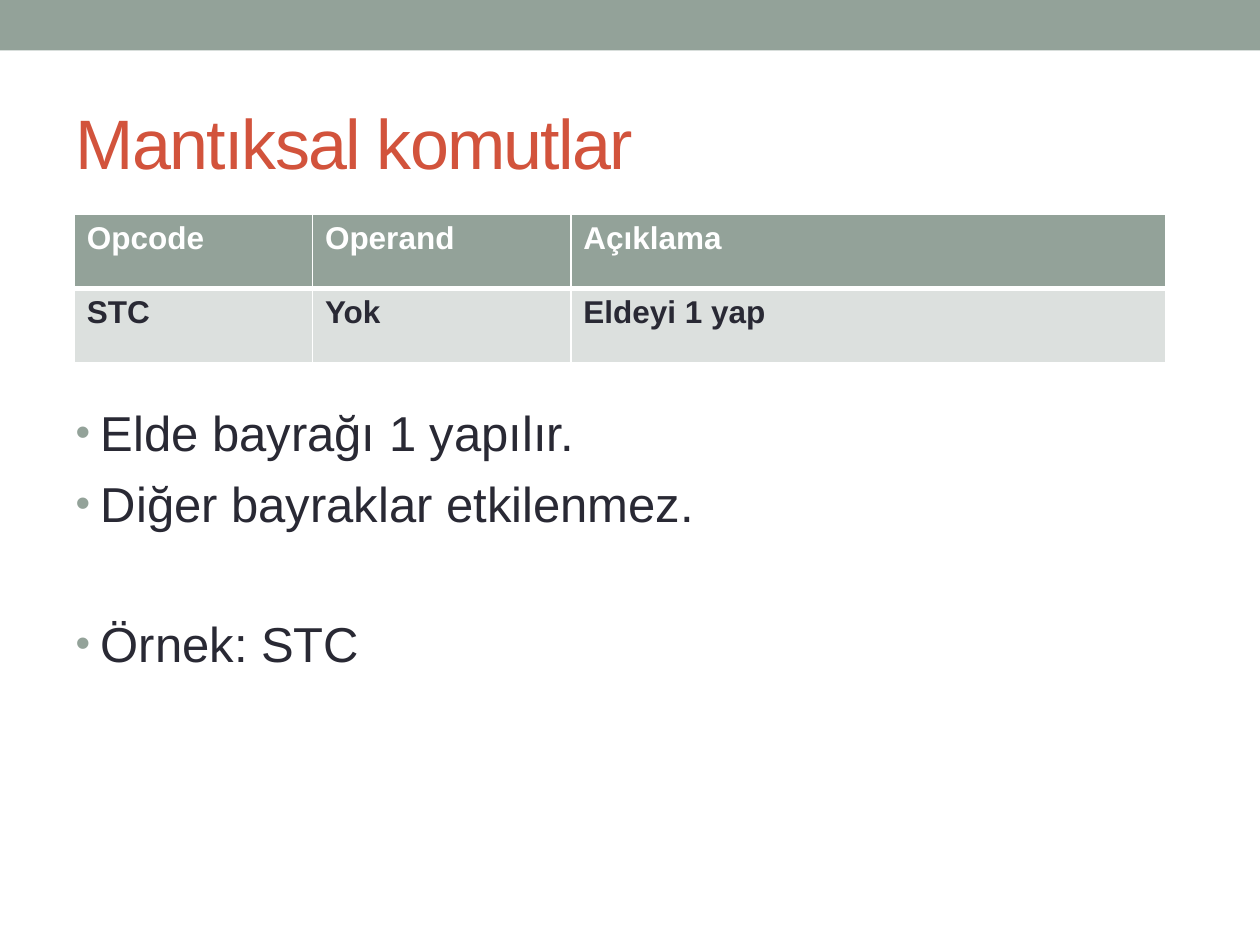
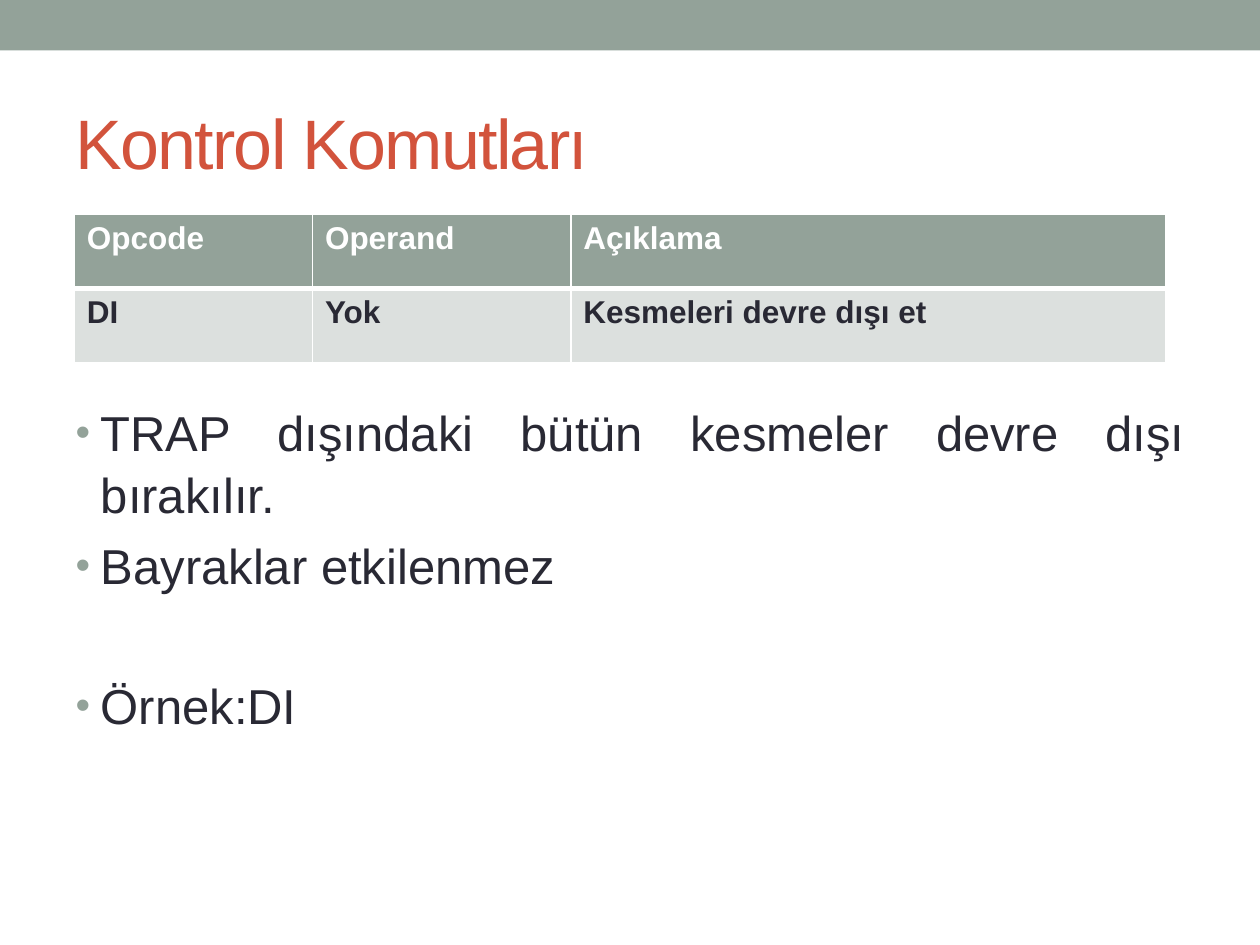
from typing import NamedTuple

from lxml import etree
from pptx import Presentation
from pptx import util as u
from pptx.dml.color import RGBColor
from pptx.enum import shapes, text
from pptx.oxml.ns import qn

PX = 9144  # 100 px to the inch
FONT = "Arial"
COLORS = {
    "band": "93A299",
    "title": "D2533C",
    "ink": "292934",
    "row": "DCE0DE",
    "white": "FFFFFF",
}
HEADINGS = ("Opcode", "Operand", "Açıklama")
COL_WIDTHS = (189, 205, 472)
ROW_HEIGHT = 59
LINE_GAP, EXAMPLE_GAP = 5.6, 44.5  # points before a bullet


class Box(NamedTuple):
    left: int
    top: int
    width: int
    height: int


class Command(NamedTuple):
    title: str
    row: tuple[str, str, str]
    effects: tuple[str, ...]
    example: str


BAND = Box(0, 0, 1000, 40)
TITLE = Box(50, 58, 900, 108)
BODY = Box(50, 312, 900, 396)
TABLE = Box(59, 170, sum(COL_WIDTHS), 2 * ROW_HEIGHT)

COMMANDS = (
    Command("Mantıksal komutlar", ("STC", "Yok", "Eldeyi 1 yap"),
            ("Elde bayrağı 1 yapılır.", "Diğer bayraklar etkilenmez."),
            "Örnek: STC"),
    Command("Kontrol Komutları", ("DI", "Yok", "Kesmeleri devre dışı et"),
            ("TRAP dışındaki bütün kesmeler devre dışı bırakılır.",
             "Bayraklar etkilenmez"),
            "Örnek:DI"),
)


def rgb(name: str) -> RGBColor:
    return RGBColor.from_string(COLORS[name])


def emu(box: Box) -> list[int]:
    return [n * PX for n in box]


def add_run(p, words: str, size: int, color: str, bold: bool = False):
    r = p.add_run()
    r.text = words
    r.font.name, r.font.size, r.font.bold = FONT, u.Pt(size), bold
    r.font.color.rgb = rgb(color)
    return r


def place(sp, box: Box, anchor):
    """Move a placeholder and return its text frame."""
    sp.left, sp.top, sp.width, sp.height = emu(box)
    tf = sp.text_frame
    tf.word_wrap = True
    tf.auto_size = text.MSO_AUTO_SIZE.NONE
    tf.vertical_anchor = anchor
    return tf


def add_band(slide) -> None:
    sp = slide.shapes.add_shape(shapes.MSO_SHAPE.RECTANGLE, *emu(BAND))
    sp.shadow.inherit = False
    sp.fill.solid()
    sp.fill.fore_color.rgb = rgb("band")
    sp.line.fill.background()


def set_title(slide, words: str) -> None:
    p = place(slide.shapes.title, TITLE, text.MSO_ANCHOR.MIDDLE).paragraphs[0]
    p.alignment = text.PP_ALIGN.LEFT
    r = add_run(p, words, 40, "title")
    r.font._element.set("spc", "-100")


def add_bullet(p) -> None:
    ppr = p._p.get_or_add_pPr()
    ppr.set("marL", str(20 * PX))
    ppr.set("indent", str(-20 * PX))
    color = etree.SubElement(ppr, qn("a:buClr"))
    etree.SubElement(color, qn("a:srgbClr"), val=COLORS["band"])
    etree.SubElement(ppr, qn("a:buSzPct"), val="85000")
    etree.SubElement(ppr, qn("a:buFont"), typeface=FONT)
    etree.SubElement(ppr, qn("a:buChar"), char="•")


def set_body(slide, command: Command) -> None:
    tf = place(slide.placeholders[1], BODY, text.MSO_ANCHOR.TOP)
    gaps = [0] + [LINE_GAP] * (len(command.effects) - 1) + [EXAMPLE_GAP]
    for i, (words, gap) in enumerate(zip((*command.effects, command.example), gaps)):
        p = tf.add_paragraph() if i else tf.paragraphs[0]
        add_bullet(p)
        p.alignment = text.PP_ALIGN.JUSTIFY
        p.line_spacing = 1.05
        p.space_before = u.Pt(gap)
        add_run(p, words, 28, "ink")


def set_borders(cell, top: int, bottom: int) -> None:
    """Draw white cell borders; top and bottom widths are in points."""
    tcpr = cell._tc.get_or_add_tcPr()
    for tag, width in (("lnL", 1), ("lnR", 1), ("lnT", top), ("lnB", bottom)):
        ln = etree.SubElement(tcpr, qn(f"a:{tag}"), w=str(u.Pt(width)))
        fill = etree.SubElement(ln, qn("a:solidFill"))
        etree.SubElement(fill, qn("a:srgbClr"), val=COLORS["white"])


def add_command_table(slide, row: tuple[str, str, str]) -> None:
    table = slide.shapes.add_table(2, len(HEADINGS), *emu(TABLE)).table
    for col, width in zip(table.columns, COL_WIDTHS):
        col.width = width * PX
    styles = ((HEADINGS, "band", "white", 1, 3), (row, "row", "ink", 3, 1))
    for i, (words, fill, color, top, bottom) in enumerate(styles):
        table.rows[i].height = ROW_HEIGHT * PX
        for j, word in enumerate(words):
            cell = table.cell(i, j)
            set_borders(cell, top, bottom)
            cell.fill.solid()
            cell.fill.fore_color.rgb = rgb(fill)
            add_run(cell.text_frame.paragraphs[0], word, 18, color, bold=True)


def main() -> None:
    prs = Presentation()
    prs.slide_width, prs.slide_height = 1000 * PX, 750 * PX
    for command in COMMANDS:
        slide = prs.slides.add_slide(prs.slide_layouts[1])
        add_band(slide)
        set_title(slide, command.title)
        set_body(slide, command)
        add_command_table(slide, command.row)
    prs.save("out.pptx")


if __name__ == "__main__":
    main()
